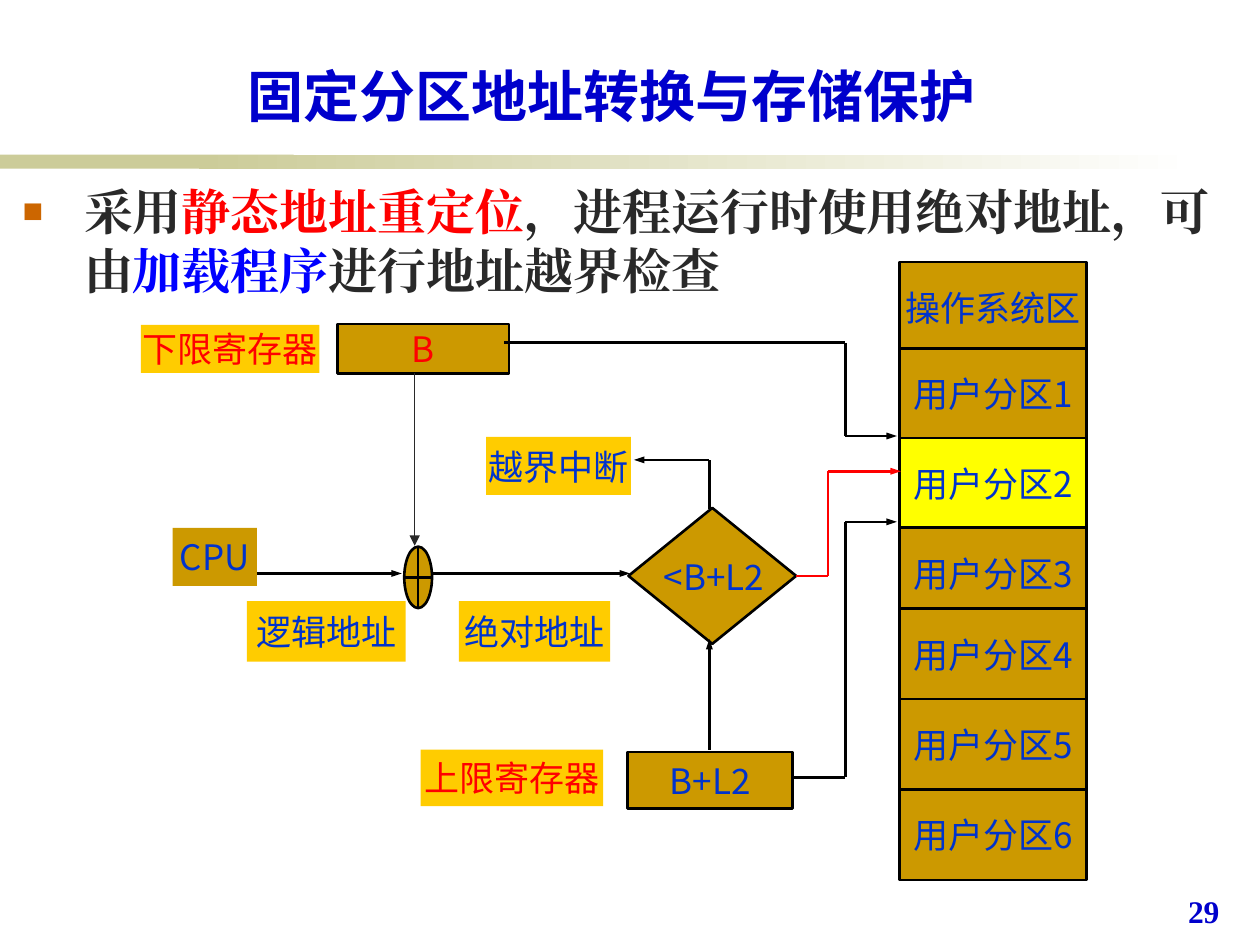
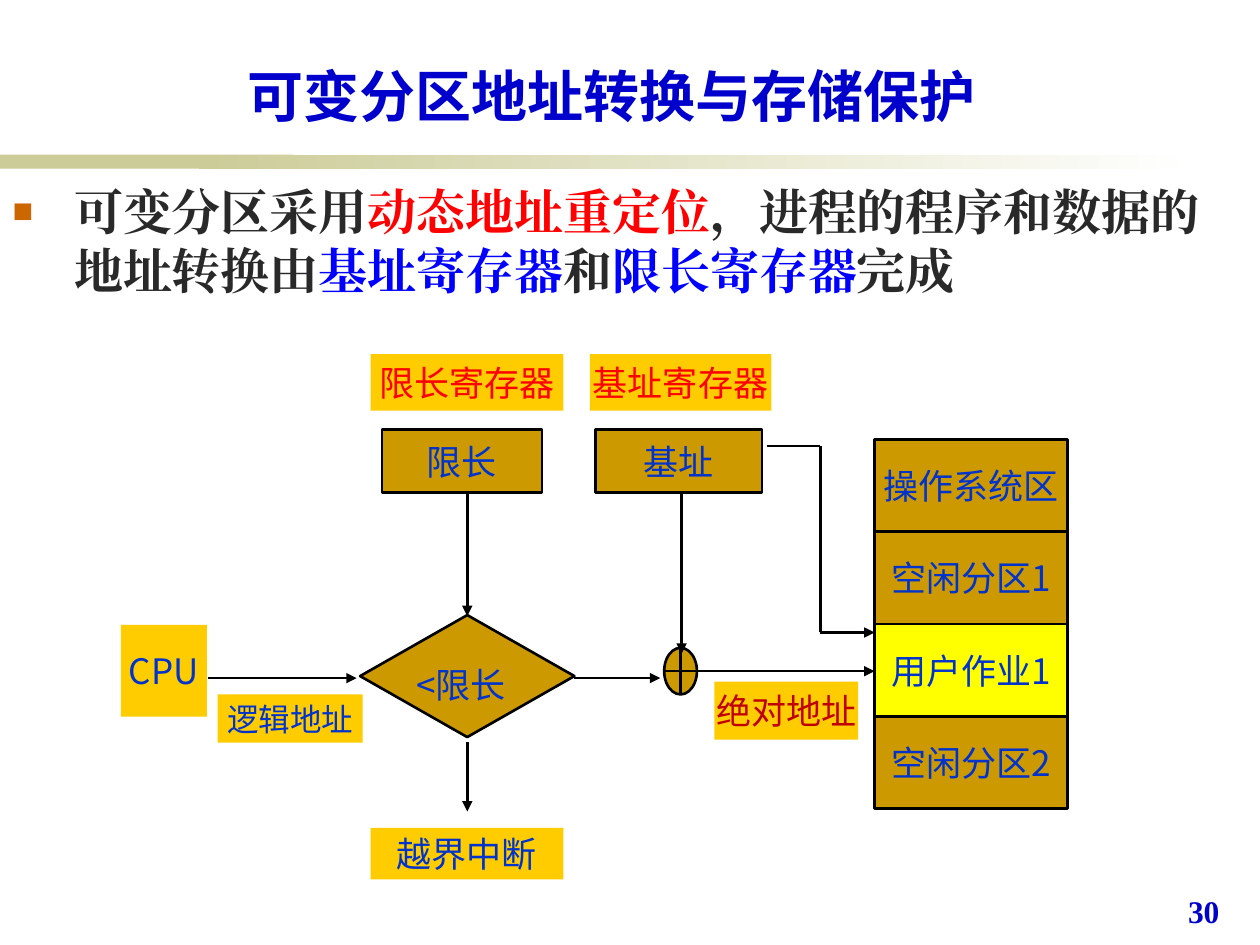
from dataclasses import dataclass
from itertools import pairwise

from lxml.etree import SubElement
from pptx import Presentation
from pptx.dml.color import RGBColor
from pptx.enum.shapes import MSO_CONNECTOR, MSO_SHAPE
from pptx.enum.text import MSO_ANCHOR, MSO_AUTO_SIZE, PP_ALIGN
from pptx.oxml.ns import qn
from pptx.util import Cm, Pt


@dataclass(frozen=True)
class Theme:
    title: RGBColor = RGBColor(0x00, 0x00, 0xCC)
    body: RGBColor = RGBColor(0x29, 0x29, 0x29)
    bullet: str = "CC6600"
    band: RGBColor = RGBColor(0xCC, 0xCC, 0x99)
    white: RGBColor = RGBColor(0xFF, 0xFF, 0xFF)
    black: RGBColor = RGBColor(0x00, 0x00, 0x00)
    red: RGBColor = RGBColor(0xFF, 0x00, 0x00)
    dark_red: RGBColor = RGBColor(0xC0, 0x00, 0x00)
    blue: RGBColor = RGBColor(0x00, 0x00, 0xFF)
    label_text: RGBColor = RGBColor(0x00, 0x33, 0xCC)
    ochre: RGBColor = RGBColor(0xCC, 0x99, 0x00)
    amber: RGBColor = RGBColor(0xFF, 0xCC, 0x00)
    yellow: RGBColor = RGBColor(0xFF, 0xFF, 0x00)
    sans: str = "Noto Sans CJK JP"
    serif: str = "Times New Roman"
    title_size: Pt = Pt(32)
    body_size: Pt = Pt(28)
    label_size: Pt = Pt(20)
    small_size: Pt = Pt(18)
    line_width: Pt = Pt(1.5)


theme = Theme()


def add_box(slide, place, text="", fill=theme.ochre, color=theme.label_text,
            outlined=False, kind=MSO_SHAPE.RECTANGLE, size=theme.label_size):
    """Add a diagram shape; place is left, top, width, height in cm."""
    shape = slide.shapes.add_shape(kind, *map(Cm, place))
    shape.shadow.inherit = False
    if fill is None:
        shape.fill.background()
    else:
        shape.fill.solid()
        shape.fill.fore_color.rgb = fill
    if outlined:
        shape.line.color.rgb = theme.black
        shape.line.width = theme.line_width
    else:
        shape.line.fill.background()
    if text:
        frame = shape.text_frame
        frame.margin_left = frame.margin_right = 0
        frame.margin_top = frame.margin_bottom = 0
        frame.vertical_anchor = MSO_ANCHOR.MIDDLE
        frame.word_wrap = False
        paragraph = frame.paragraphs[0]
        paragraph.text = text
        paragraph.alignment = PP_ALIGN.CENTER
        paragraph.font.name = theme.sans
        paragraph.font.size = size
        paragraph.font.color.rgb = color
    return shape


def add_arrow(slide, points, color=theme.black, width=theme.line_width, head="med"):
    """Join points (cm) by straight connectors, with an arrowhead on the last."""
    for start, end in pairwise(points):
        connector = slide.shapes.add_connector(
            MSO_CONNECTOR.STRAIGHT, *map(Cm, (*start, *end)))
        connector.line.color.rgb = color
        connector.line.width = width
        properties = connector._element.spPr
        SubElement(properties, qn("a:effectLst"))
    SubElement(properties.find(qn("a:ln")), qn("a:tailEnd"),
               type="triangle", w=head, len="med")


presentation = Presentation()
presentation.slide_width = Cm(25.4)
presentation.slide_height = Cm(19.05)

# Title, list and page number of each slide
pages = [
    ("固定分区地址转换与存储保护", "29", 0.2, [
        ("采用", theme.body), ("静态地址重定位", theme.red),
        ("，进程运行时使用绝对地址，可由", theme.body),
        ("加载程序", theme.blue), ("进行地址越界检查", theme.body)]),
    ("可变分区地址转换与存储保护", "30", 0, [
        ("可变分区采用", theme.body), ("动态地址重定位", theme.red),
        ("，进程的程序和数据的地址转换由", theme.body),
        ("基址寄存器", theme.blue), ("和", theme.body),
        ("限长寄存器", theme.blue), ("完成", theme.body)]),
]
for title_text, number, body_left, pieces in pages:
    slide = presentation.slides.add_slide(presentation.slide_layouts[1])

    add_box(slide, (0, 3.12, 5.92, 0.28), fill=theme.band)
    fade = add_box(slide, (4.01, 3.12, 20.12, 0.28))
    fade.fill.gradient()
    fade.fill.gradient_angle = 0
    for stop, color in zip(fade.fill.gradient_stops, (theme.band, theme.white)):
        stop.color.rgb = color

    title = slide.shapes.title
    title.left, title.top, title.width, title.height = map(Cm, (2.11, 1.12, 20.45, 1.6))
    title.text_frame.auto_size = MSO_AUTO_SIZE.NONE
    title.text_frame.vertical_anchor = MSO_ANCHOR.BOTTOM
    paragraph = title.text_frame.paragraphs[0]
    paragraph.text = title_text
    paragraph.alignment = PP_ALIGN.CENTER
    paragraph.font.name = theme.sans
    paragraph.font.size = theme.title_size
    paragraph.font.bold = True
    paragraph.font.color.rgb = theme.title

    body = slide.placeholders[1]
    body.left, body.top, body.width, body.height = map(Cm, (body_left, 3.53, 25.1, 13.79))
    body.text_frame.auto_size = MSO_AUTO_SIZE.NONE
    paragraph = body.text_frame.paragraphs[0]
    paragraph.space_before = Pt(3)
    paragraph.font.name = theme.serif
    paragraph.font.size = theme.body_size
    paragraph.font.bold = True
    for text, color in pieces:
        run = paragraph.add_run()
        run.text = text
        run.font.color.rgb = color
    bullet = paragraph._p.get_or_add_pPr()
    bullet.set("marL", str(Cm(1.24)))
    bullet.set("indent", str(-Cm(1.24)))
    defaults = bullet.find(qn("a:defRPr"))
    bullet_color = SubElement(bullet, qn("a:buClr"))
    SubElement(bullet_color, qn("a:srgbClr"), val=theme.bullet)
    SubElement(bullet, qn("a:buSzPct"), val="70000")
    SubElement(bullet, qn("a:buChar"), char="■")
    bullet.append(defaults)

    page_number = slide.shapes.add_textbox(*map(Cm, (23.7, 17.86, 1.63, 1.27)))
    page_number.text_frame.word_wrap = True
    paragraph = page_number.text_frame.paragraphs[0]
    paragraph.text = number
    paragraph.font.name = theme.serif
    paragraph.font.size = theme.small_size
    paragraph.font.bold = True
    paragraph.font.color.rgb = theme.title

fixed_slide, variable_slide = presentation.slides

# Fixed partitions: registers, address check and memory
for text, place, color in [
    ("下限寄存器", (2.84, 6.55, 3.6, 0.97), theme.red),
    ("上限寄存器", (8.48, 15.11, 3.68, 1.14), theme.red),
    ("逻辑地址", (4.98, 12.12, 3.2, 1.22), theme.label_text),
    ("绝对地址", (9.25, 12.12, 3.05, 1.22), theme.label_text),
    ("越界中断", (9.8, 8.81, 2.92, 1.17), theme.label_text),
]:
    add_box(fixed_slide, place, text, theme.amber, color)

add_box(fixed_slide, (3.48, 10.64, 1.7, 1.17), "CPU")
add_box(fixed_slide, (6.8, 6.53, 3.46, 1), "B", color=theme.red, outlined=True)
add_box(fixed_slide, (12.65, 15.16, 3.33, 1.14), "B+L2", outlined=True)
add_box(fixed_slide, (8.15, 11.02, 0.56, 1.24), outlined=True, kind=MSO_SHAPE.FLOWCHART_OR)
add_box(fixed_slide, (12.67, 10.24, 3.38, 2.74), outlined=True,
        kind=MSO_SHAPE.FLOWCHART_DECISION)
add_box(fixed_slide, (13.08, 11.13, 2.62, 0.97), "<B+L2", fill=None)

partition_tops = [5.28, 7.02, 8.83, 10.64, 12.27, 14.09, 15.91]
for index, top in enumerate(partition_tops):
    add_box(fixed_slide, (18.14, top, 3.76, 1.83),
            f"用户分区{index}" if index else "操作系统区",
            theme.yellow if index == 2 else theme.ochre, outlined=True)

for points in [
    [(10.16, 6.91), (17.04, 6.91), (17.04, 8.79), (18.08, 8.79)],
    [(15.98, 15.67), (17.04, 15.67), (17.04, 10.52), (18.08, 10.52)],
    [(5.18, 11.56), (8.1, 11.56)],
    [(8.69, 11.56), (12.7, 11.56)],
    [(14.3, 15.11), (14.3, 12.88)],
    [(14.3, 10.26), (14.3, 9.27), (12.78, 9.27)],
]:
    add_arrow(fixed_slide, points, head="sm")
add_arrow(fixed_slide, [(16.05, 11.61), (16.69, 11.61), (16.69, 9.5), (18.16, 9.5)],
          theme.red, head="sm")
add_arrow(fixed_slide, [(8.36, 7.52), (8.36, 11)], theme.body, Pt(0.75))

# Variable partitions: length check, relocation and memory
for text, place, color in [
    ("限长寄存器", (7.47, 7.14, 3.89, 1.14), theme.red),
    ("基址寄存器", (11.89, 7.14, 3.66, 1.14), theme.red),
    ("CPU", (2.44, 12.6, 1.73, 1.85), theme.label_text),
    ("绝对地址", (14.4, 13.74, 2.9, 1.17), theme.dark_red),
    ("越界中断", (7.47, 16.69, 3.89, 1.04), theme.label_text),
]:
    add_box(variable_slide, place, text, theme.amber, color)

add_box(variable_slide, (4.39, 14, 2.92, 0.97), "逻辑地址", theme.amber,
        size=theme.small_size)
add_box(variable_slide, (7.7, 8.66, 3.23, 1.27), "限长", outlined=True)
add_box(variable_slide, (12.01, 8.66, 3.35, 1.27), "基址", outlined=True)
add_box(variable_slide, (13.39, 13.06, 0.66, 0.94), outlined=True,
        kind=MSO_SHAPE.FLOWCHART_OR)
add_box(variable_slide, (7.26, 12.4, 4.32, 2.46), outlined=True,
        kind=MSO_SHAPE.FLOWCHART_DECISION)
add_box(variable_slide, (7.9, 13.28, 2.79, 1.04), "<限长", fill=None)

for index, text in enumerate(["操作系统区", "空闲分区1", "用户作业1", "空闲分区2"]):
    add_box(variable_slide, (17.63, 8.86 + 1.86 * index, 3.89, 1.86), text,
            theme.yellow if index == 2 else theme.ochre, outlined=True)

for points in [
    [(15.47, 8.99), (16.54, 8.99), (16.54, 12.75), (17.63, 12.75)],
    [(9.42, 9.93), (9.42, 12.42)],
    [(13.74, 9.96), (13.74, 13.18)],
    [(4.19, 13.67), (7.19, 13.67)],
    [(11.58, 13.67), (13.31, 13.67)],
    [(13.94, 13.53), (17.63, 13.53)],
    [(9.42, 14.96), (9.42, 16.36)],
]:
    add_arrow(variable_slide, points)

# Chinese text takes the same font as Latin text
for slide in presentation.slides:
    for latin in list(slide.element.iter(qn("a:latin"))):
        east_asian = SubElement(latin.getparent(), qn("a:ea"),
                                typeface=latin.get("typeface"))
        latin.addnext(east_asian)

presentation.save("out.pptx")
